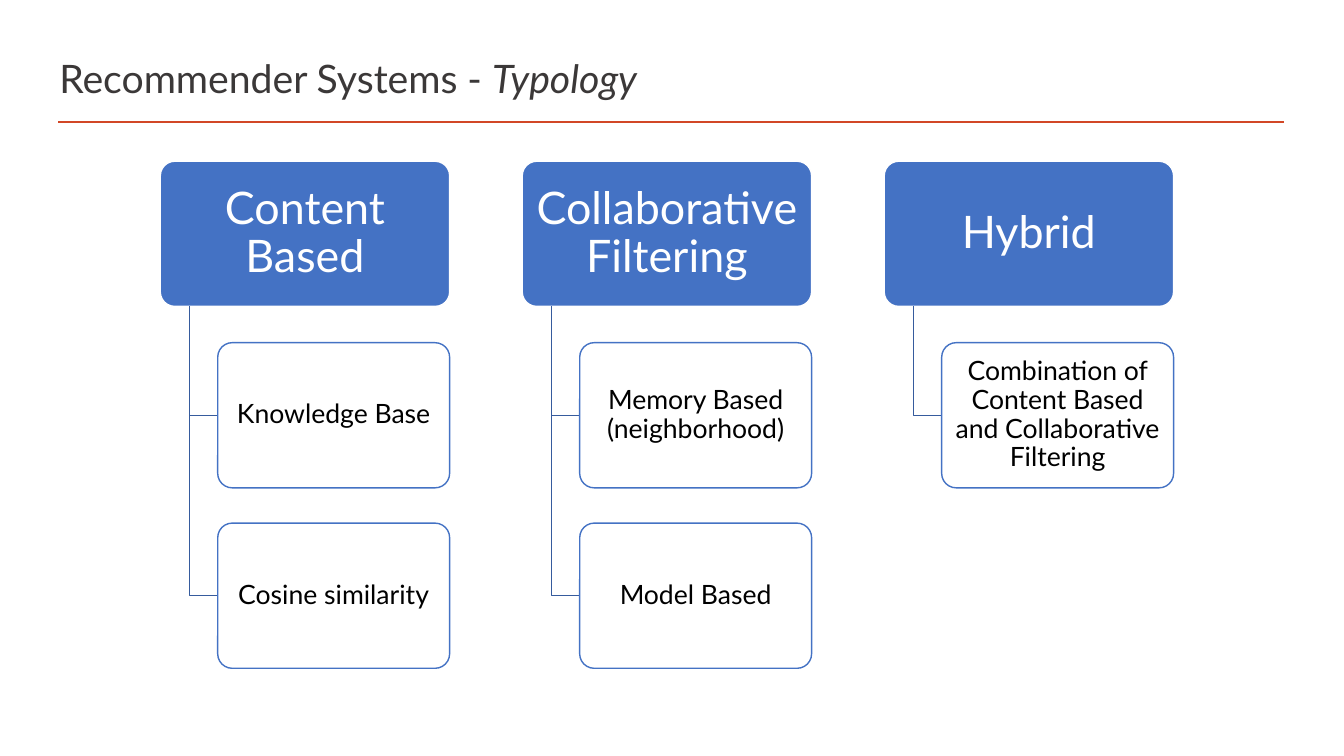
"""Build a slide that shows the typology of recommender systems as three hierarchies."""
from lxml import etree
from pptx import Presentation
from pptx.dml.color import RGBColor
from pptx.enum.shapes import MSO_CONNECTOR, MSO_SHAPE
from pptx.enum.text import MSO_ANCHOR, PP_ALIGN
from pptx.oxml.ns import qn
from pptx.util import Pt

STRAIGHT = MSO_CONNECTOR.STRAIGHT
ROUNDED = MSO_SHAPE.ROUNDED_RECTANGLE
MIDDLE = MSO_ANCHOR.MIDDLE
CENTER = PP_ALIGN.CENTER

PX = 9144
THEME = {
    "font": "Lato",
    "title": RGBColor(0x3B, 0x38, 0x38),
    "rule": RGBColor(0xD2, 0x47, 0x26),
    "blue": RGBColor(0x44, 0x72, 0xC4),
    "branch": RGBColor(0x36, 0x5B, 0x9D),
    "white": RGBColor(0xFF, 0xFF, 0xFF),
    "black": RGBColor(0x00, 0x00, 0x00),
    "title_size": Pt(28),
    "heading_size": Pt(32),
    "child_size": Pt(19),
}

HIERARCHIES = [
    ("Content Based", ["Knowledge Base", "Cosine similarity"]),
    ("Collaborative Filtering", ["Memory Based (neighborhood)", "Model Based"]),
    ("Hybrid", ["Combination of Content Based and Collaborative Filtering"]),
]
COLUMN_LEFT, COLUMN_PITCH = 159, 359
HEADING_TOP, HEADING_WIDTH, BOX_HEIGHT = 160, 287, 144
CHILD_TOP, CHILD_PITCH, CHILD_INDENT = 340, 179, 57
TRUNK_INDENT = 29


def style_run(run, size, color):
    run.font.name = THEME["font"]
    run.font.size = size
    run.font.color.rgb = color


def add_box(left, top, width, text, size, colors, margins):
    fill_color, line_color, text_color = colors
    box = slide.shapes.add_shape(ROUNDED, left * PX, top * PX, width * PX, BOX_HEIGHT * PX)
    box.adjustments[0] = 0.1
    box.shadow.inherit = False
    box.fill.solid()
    box.fill.fore_color.rgb = fill_color
    box.line.color.rgb = line_color
    box.line.width = Pt(1)
    frame = box.text_frame
    frame.word_wrap = True
    frame.vertical_anchor = MIDDLE
    frame.margin_left = frame.margin_right = margins[0] * PX
    frame.margin_top = frame.margin_bottom = margins[1] * PX
    frame.text = text
    paragraph = frame.paragraphs[0]
    paragraph.alignment = CENTER
    paragraph.line_spacing = 0.9
    style_run(paragraph.runs[0], size, text_color)
    return box


presentation = Presentation()
presentation.slide_width = 1333 * PX
presentation.slide_height = 750 * PX
slide = presentation.slides.add_slide(presentation.slide_layouts[6])

rule = slide.shapes.add_connector(STRAIGHT, 58 * PX, 121 * PX, 1274 * PX, 121 * PX)
rule.line.color.rgb = THEME["rule"]
rule.line.width = Pt(2)
etree.SubElement(rule._element.spPr, qn("a:effectLst"))

title = slide.shapes.add_textbox(49 * PX, 47 * PX, 1226 * PX, 61 * PX)
title.text_frame.word_wrap = True
title.text_frame.vertical_anchor = MIDDLE
for text, italic in [("Recommender Systems - ", False), ("Typology", True)]:
    run = title.text_frame.paragraphs[0].add_run()
    run.text = text
    run.font.italic = italic
    style_run(run, THEME["title_size"], THEME["title"])

heading_colors = (THEME["blue"], THEME["white"], THEME["white"])
child_colors = (THEME["white"], THEME["blue"], THEME["black"])

for column, (heading, children) in enumerate(HIERARCHIES):
    left = COLUMN_LEFT + column * COLUMN_PITCH
    add_box(left, HEADING_TOP, HEADING_WIDTH, heading,
            THEME["heading_size"], heading_colors, (7, 4))

    trunk_x = left + TRUNK_INDENT
    child_left = left + CHILD_INDENT
    for row, child in enumerate(children):
        top = CHILD_TOP + row * CHILD_PITCH
        middle = top + BOX_HEIGHT // 2
        builder = slide.shapes.build_freeform(trunk_x, HEADING_TOP + BOX_HEIGHT, PX)
        builder.add_line_segments([(trunk_x, middle), (child_left, middle)], close=False)
        branch = builder.convert_to_shape()
        branch.shadow.inherit = False
        branch.fill.background()
        branch.line.color.rgb = THEME["branch"]
        branch.line.width = Pt(1)

        box = add_box(child_left, top, HEADING_WIDTH - CHILD_INDENT, child,
                      THEME["child_size"], child_colors, (4, 3))
        fill_color = box._element.spPr.find(qn("a:solidFill"))[0]
        etree.SubElement(fill_color, qn("a:alpha"), val="90000")

presentation.save("out.pptx")
